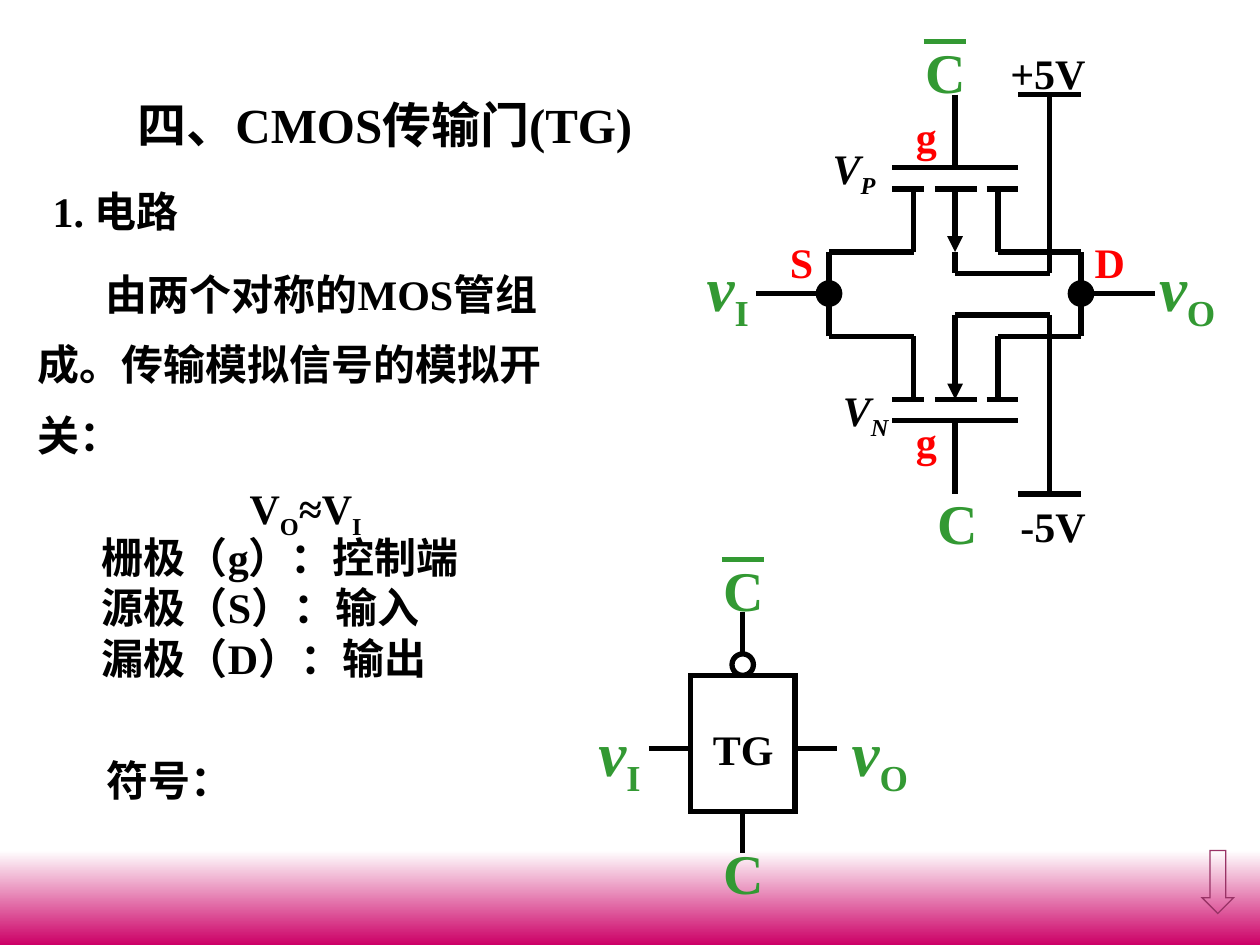
from dataclasses import dataclass

from lxml import etree
from pptx import Presentation
from pptx.dml.color import RGBColor
from pptx.enum import shapes, text
from pptx.oxml import ns
from pptx.util import Inches, Pt


@dataclass(frozen=True)
class Theme:
    font: str = "Times New Roman"
    ink: str = "000000"
    signal: str = "339933"
    terminal: str = "FF0000"
    paper: str = "FFFFFF"
    band: str = "CC0066"
    arrow: str = "993366"
    title: int = 28
    body: int = 24
    gate: int = 32
    voltage: int = 36
    stroke: float = 3
    thin: float = 0.75


THEME = Theme()
SUB, ITALIC = "sub", "italic"

TITLE = [[("四、CMOS传输门(TG)",)]]
HEADING = [[("1. 电路",)]]
DESCRIPTION = [
    [("由两个对称的MOS管组成。传输模拟信号的模拟开关：",)],
    [("V",), ("O", SUB), ("≈V",), ("I", SUB)],
]
TERMINALS = [[("栅极（g）：控制端",)], [("源极（S）：输入",)], [("漏极（D）：输出",)]]
SYMBOL_HEADING = [[("符号：",)]]
V_IN = [("v", ITALIC), ("I", SUB)]
V_OUT = [("v", ITALIC), ("O", SUB)]

LABEL_GROUPS = [
    (THEME.ink, THEME.body, 0.5, [
        ([("+5V",)], 7.92, 0.33, 0.84), ([("-5V",)], 8, 3.92, 0.74),
        ([("V", ITALIC), ("P", ITALIC, SUB)], 6.51, 1.08, 0.56),
        ([("V", ITALIC), ("N", ITALIC, SUB)], 6.59, 3, 0.58),
        ([("TG",)], 5.56, 5.69, 0.7)]),
    (THEME.signal, THEME.gate, 0.64, [
        ([("C",)], 7.34, 3.83, 0.54), ([("C",)], 7.25, 0.25, 0.54),
        ([("C",)], 5.64, 6.61, 0.54), ([("C",)], 5.64, 4.36, 0.54)]),
    (THEME.signal, THEME.voltage, 0.79, [
        (V_IN, 5.51, 1.92, 0.58), (V_OUT, 9.1, 1.92, 0.68),
        (V_IN, 4.65, 5.61, 0.58), (V_OUT, 6.66, 5.61, 0.68)]),
    (THEME.terminal, THEME.body, 0.5, [
        ([("g",)], 7.17, 0.83, 0.38), ([("g",)], 7.17, 3.25, 0.38),
        ([("S",)], 6.17, 1.83, 0.4), ([("D",)], 8.59, 1.83, 0.46)]),
]

AXIS = 2.33
SOURCE_X, DRAIN_X, GATE_X, SUPPLY_X = 6.58, 8.58, 7.58, 8.33
UPPER_HALF = [
    [(GATE_X, 0.75), (GATE_X, 1.33)],
    [(7.08, 1.33), (8.08, 1.33)],
    [(7.08, 1.5), (7.33, 1.5)],
    [(7.42, 1.5), (7.75, 1.5)],
    [(7.83, 1.5), (8.08, 1.5)],
    [(7.25, 1.5), (7.25, 2), (SOURCE_X, 2), (SOURCE_X, AXIS)],
    [(7.92, 1.5), (7.92, 2), (DRAIN_X, 2), (DRAIN_X, AXIS)],
    [(GATE_X, 2), (GATE_X, 2.17), (SUPPLY_X, 2.17), (SUPPLY_X, 0.75)],
    [(8.08, 0.75), (8.58, 0.75)],
]
CHANNEL = (GATE_X, 1.5), (GATE_X, 2)
TERMINAL_LEADS = [((6, AXIS), (SOURCE_X, AXIS)), ((DRAIN_X, AXIS), (9.17, AXIS))]
OVERBARS = [((7.33, 0.33), (7.67, 0.33)), ((5.73, 4.44), (6.06, 4.44))]
DOT = 0.17


def mirror(point):
    return point[0], 2 * AXIS - point[1] + 0.01


def add_text(slide, paragraphs, left, top, width, height, size=THEME.body,
             color=THEME.ink, wrap=True, grow=True):
    box = slide.shapes.add_textbox(*map(Inches, (left, top, width, height)))
    frame = box.text_frame
    frame.word_wrap = wrap
    if grow:
        frame.auto_size = text.MSO_AUTO_SIZE.SHAPE_TO_FIT_TEXT
    for index, runs in enumerate(paragraphs):
        paragraph = frame.paragraphs[0] if index == 0 else frame.add_paragraph()
        for words, *styles in runs:
            run = paragraph.add_run()
            run.text = words
            run.font.name = THEME.font
            run.font.size = Pt(size)
            run.font.bold = True
            run.font.italic = ITALIC in styles
            run.font.color.rgb = RGBColor.from_string(color)
            if SUB in styles:
                run._r.get_or_add_rPr().set("baseline", "-25000")
    return frame


def add_line(slide, start, end, color=THEME.ink, arrow=False):
    line = slide.shapes.add_connector(
        shapes.MSO_CONNECTOR.STRAIGHT, *map(Inches, (*start, *end)))
    line.line.color.rgb = RGBColor.from_string(color)
    line.line.width = Pt(THEME.stroke)
    properties = line._element.spPr
    if arrow:
        etree.SubElement(properties.find(ns.qn("a:ln")), ns.qn("a:tailEnd"), type="triangle")
    etree.SubElement(properties, ns.qn("a:effectLst"))
    return line


def add_shape(slide, kind, left, top, width, height, fill=None,
              line=THEME.ink, weight=THEME.stroke):
    shape = slide.shapes.add_shape(kind, *map(Inches, (left, top, width, height)))
    shape.shadow.inherit = False
    if fill:
        shape.fill.solid()
        shape.fill.fore_color.rgb = RGBColor.from_string(fill)
    else:
        shape.fill.background()
    if line:
        shape.line.color.rgb = RGBColor.from_string(line)
        shape.line.width = Pt(weight)
        etree.SubElement(shape._element.spPr.find(ns.qn("a:ln")), ns.qn("a:miter"), lim="800000")
    else:
        shape.line.fill.background()
    return shape


def add_band(slide):
    band = add_shape(slide, shapes.MSO_SHAPE.RECTANGLE, 0, 6.75, 10, 0.75, line=None)
    band.fill.gradient()
    band.fill.gradient_angle = 270
    for stop, color, position in zip(band.fill.gradient_stops, (THEME.paper, THEME.band), (0, 1)):
        stop.color.rgb = RGBColor.from_string(color)
        stop.position = position


def add_circuit(slide):
    for route in UPPER_HALF:
        for points in (route, [mirror(point) for point in route]):
            for start, end in zip(points, points[1:]):
                add_line(slide, start, end)
    add_line(slide, *CHANNEL, arrow=True)
    add_line(slide, mirror(CHANNEL[1]), mirror(CHANNEL[0]), arrow=True)
    for start, end in TERMINAL_LEADS:
        add_line(slide, start, end)
    for x in (SOURCE_X, DRAIN_X):
        add_shape(slide, shapes.MSO_SHAPE.OVAL, x - DOT / 2, AXIS - DOT / 2, DOT, DOT, THEME.ink)


def add_symbol(slide):
    left, top, width, height, lead, signal_y = 5.48, 5.36, 0.83, 1.08, 0.33, 5.94
    right, bottom, center, bubble_top = left + width, top + height, left + width / 2, top - DOT
    block = add_shape(slide, shapes.MSO_SHAPE.RECTANGLE, left, top, width, height)
    bubble = add_shape(slide, shapes.MSO_SHAPE.OVAL, center - DOT / 2, bubble_top, DOT, DOT)
    add_line(slide, (left - lead, signal_y), (left, signal_y))
    add_line(slide, (right, signal_y), (right + lead, signal_y))
    add_line(slide, (center, bottom), (center, bottom + lead)).begin_connect(block, 2)
    add_line(slide, (center, bubble_top), (center, bubble_top - lead)).begin_connect(bubble, 0)


def main():
    presentation = Presentation()
    presentation.slide_width, presentation.slide_height = Inches(10), Inches(7.5)
    slide = presentation.slides.add_slide(presentation.slide_layouts[6])

    add_band(slide)
    title = add_text(slide, TITLE, 0.89, 0.69, 4.33, 0.58, THEME.title, grow=False)
    title.vertical_anchor = text.MSO_ANCHOR.MIDDLE
    title.paragraphs[0].alignment = text.PP_ALIGN.CENTER

    description = add_text(slide, DESCRIPTION, 0.2, 1.92, 4.72, 2.31)
    for paragraph in description.paragraphs:
        paragraph.line_spacing = 1.4
    opening, equation = description.paragraphs
    opening_format = opening._p.get_or_add_pPr()
    opening_format.set("indent", str(Inches(0.54)))
    opening_format.set("marR", str(Inches(0.27)))
    opening_format.set("hangingPunct", "0")
    equation.alignment = text.PP_ALIGN.CENTER

    add_circuit(slide)
    add_symbol(slide)
    for start, end in OVERBARS:
        add_line(slide, start, end, THEME.signal)
    for color, size, height, labels in LABEL_GROUPS:
        for runs, left, top, width in labels:
            add_text(slide, [runs], left, top, width, height, size, color, wrap=False)

    add_text(slide, HEADING, 0.32, 1.42, 1.28, 0.5, wrap=False)
    add_text(slide, TERMINALS, 0.71, 4.17, 3.87, 1.3)
    add_text(slide, SYMBOL_HEADING, 0.75, 5.94, 1.81, 0.5)
    add_shape(slide, shapes.MSO_SHAPE.DOWN_ARROW, 9.54, 6.75, 0.25, 0.5,
              line=THEME.arrow, weight=THEME.thin)
    presentation.save("out.pptx")


if __name__ == "__main__":
    main()
